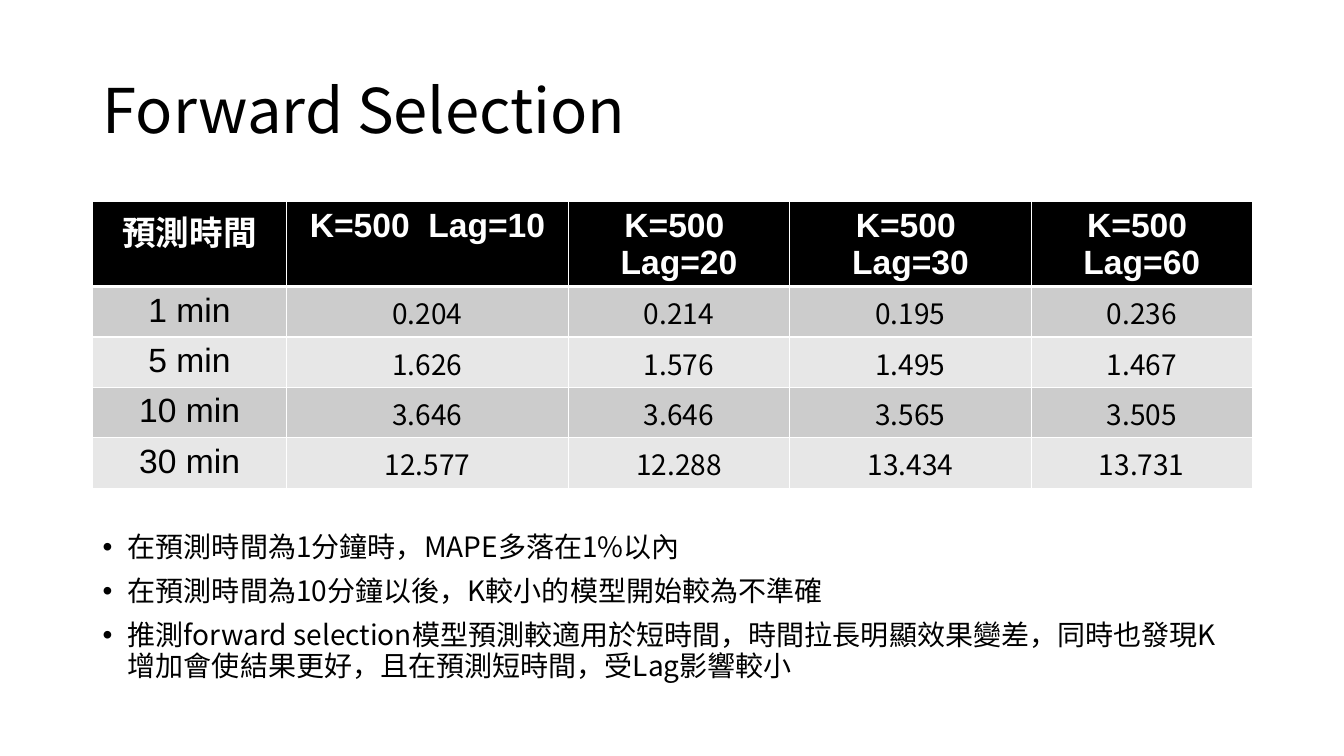
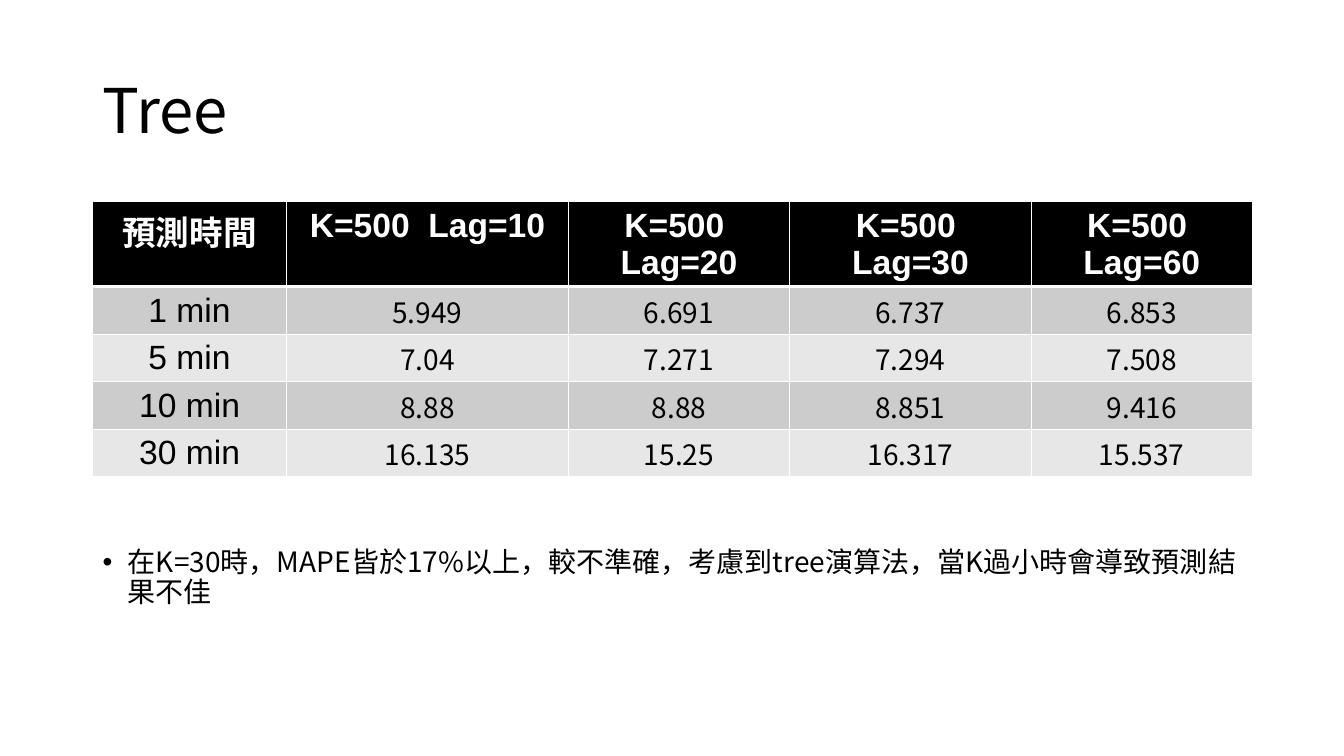
from dataclasses import dataclass

from pptx import Presentation
from pptx.dml.color import RGBColor
from pptx.enum.text import MSO_ANCHOR, MSO_AUTO_SIZE, PP_ALIGN
from pptx.oxml.ns import qn
from pptx.util import Pt
from lxml import etree

EMU_PER_PX = 9144
CENTER = PP_ALIGN.CENTER
TOP, MIDDLE = MSO_ANCHOR.TOP, MSO_ANCHOR.MIDDLE
SHRINK = MSO_AUTO_SIZE.TEXT_TO_FIT_SHAPE


@dataclass(frozen=True)
class Theme:
    ink: str = "000000"
    paper: str = "FFFFFF"
    bands: tuple = ("CCCCCC", "E7E7E7")
    text_font: str = "Noto Sans CJK SC"
    label_font: str = "Arial"
    title_size: int = 44
    label_size: int = 24
    body_size: int = 20
    line_spacing: float = 0.9
    bullet_gap: int = 10
    thin_border: int = 1
    thick_border: int = 3


LEFT, WIDTH = 92, 1150
COLUMNS = (192, 280, 219, 240, 219)
HEADER_HEIGHT = 83
HEADERS = ("預測時間", *(f"K=500  Lag={lag}" for lag in (10, 20, 30, 60)))
TIMES = ("1 min", "5 min", "10 min", "30 min")

SLIDES = (
    {
        "title": "Forward Selection",
        "row_height": 50,
        "values": (
            ("0.204", "0.214", "0.195", "0.236"),
            ("1.626", "1.576", "1.495", "1.467"),
            ("3.646", "3.646", "3.565", "3.505"),
            ("12.577", "12.288", "13.434", "13.731"),
        ),
        "bullets_top": 524,
        "bullets": (
            "在預測時間為1分鐘時，MAPE多落在1%以內",
            "在預測時間為10分鐘以後，K較小的模型開始較為不準確",
            "推測forward selection模型預測較適用於短時間，時間拉長明顯效果變差，"
            "同時也發現K增加會使結果更好，且在預測短時間，受Lag影響較小",
        ),
    },
    {
        "title": "Tree",
        "row_height": 47,
        "values": (
            ("5.949", "6.691", "6.737", "6.853"),
            ("7.04", "7.271", "7.294", "7.508"),
            ("8.88", "8.88", "8.851", "9.416"),
            ("16.135", "15.25", "16.317", "15.537"),
        ),
        "bullets_top": 539,
        "bullets": (
            "在K=30時，MAPE皆於17%以上，較不準確，考慮到tree演算法，"
            "當K過小時會導致預測結果不佳",
        ),
    },
)


def px(length):
    return length * EMU_PER_PX


class SlideWriter:
    def __init__(self, deck, theme):
        self.deck = deck
        self.theme = theme
        self.page = None

    def new_page(self):
        self.page = self.deck.slides.add_slide(self.deck.slide_layouts[6])
        background = self.page.background.fill
        background.solid()
        background.fore_color.rgb = RGBColor.from_string(self.theme.paper)

    def style(self, para, size, font, color, bold=False):
        for span in para.runs:
            span.font.size = Pt(size)
            span.font.bold = bold
            span.font.name = font
            span.font.color.rgb = RGBColor.from_string(color)
            east_asian = etree.SubElement(span.font._element, qn("a:ea"))
            east_asian.set("typeface", self.theme.text_font)

    def text_box(self, top, height, anchor):
        box = self.page.shapes.add_textbox(px(LEFT), px(top), px(WIDTH), px(height))
        frame = box.text_frame
        frame.word_wrap = True
        frame.auto_size = SHRINK
        frame.vertical_anchor = anchor
        return frame

    def title(self, text):
        frame = self.text_box(40, 145, MIDDLE)
        frame.text = text
        para = frame.paragraphs[0]
        para.line_spacing = self.theme.line_spacing
        self.style(para, self.theme.title_size, self.theme.text_font, self.theme.ink)

    def bullets(self, top, lines):
        frame = self.text_box(top, 750 - top, TOP)
        frame.text = "\n".join(lines)
        for index, para in enumerate(frame.paragraphs):
            properties = para._p.get_or_add_pPr()
            properties.set("marL", str(px(25)))
            properties.set("indent", str(px(-25)))
            etree.SubElement(properties, qn("a:buFont")).set("typeface", self.theme.label_font)
            etree.SubElement(properties, qn("a:buChar")).set("char", "•")
            para.line_spacing = self.theme.line_spacing
            if index:
                para.space_before = Pt(self.theme.bullet_gap)
            self.style(para, self.theme.body_size, self.theme.text_font, self.theme.ink)

    def borders(self, cell, row):
        properties = cell._tc.get_or_add_tcPr()
        thick_side = {0: "B", 1: "T"}.get(row)
        for side in "LRTB":
            weight = self.theme.thick_border if side == thick_side else self.theme.thin_border
            line = etree.SubElement(properties, qn(f"a:ln{side}"), w=str(Pt(weight)))
            fill = etree.SubElement(line, qn("a:solidFill"))
            etree.SubElement(fill, qn("a:srgbClr"), val=self.theme.paper)

    def cell(self, cell, text, row, column):
        theme = self.theme
        is_header = row == 0
        is_value = row > 0 and column > 0
        self.borders(cell, row)
        cell.fill.solid()
        color = theme.ink if is_header else theme.bands[(row - 1) % 2]
        cell.fill.fore_color.rgb = RGBColor.from_string(color)
        if is_value:
            cell.vertical_anchor = MIDDLE
            cell.margin_left = cell.margin_right = cell.margin_top = px(1)
            cell.margin_bottom = 0
        cell.text = text
        para = cell.text_frame.paragraphs[0]
        para.alignment = CENTER
        self.style(
            para,
            theme.body_size if is_value else theme.label_size,
            theme.text_font if is_value else theme.label_font,
            theme.paper if is_header else theme.ink,
            is_header,
        )

    def table(self, row_height, values):
        rows = [HEADERS, *((time, *results) for time, results in zip(TIMES, values))]
        heights = [HEADER_HEIGHT] + [row_height] * len(values)
        table = self.page.shapes.add_table(
            len(rows), len(COLUMNS), px(LEFT), px(200), px(WIDTH), px(sum(heights))
        ).table
        table.horz_banding = False
        for column, width in zip(table.columns, COLUMNS):
            column.width = px(width)
        for row, (texts, height) in enumerate(zip(rows, heights)):
            table.rows[row].height = px(height)
            for column, text in enumerate(texts):
                self.cell(table.cell(row, column), text, row, column)


def main():
    deck = Presentation()
    deck.slide_width, deck.slide_height = px(1333), px(750)
    writer = SlideWriter(deck, Theme())
    for content in SLIDES:
        writer.new_page()
        writer.title(content["title"])
        writer.table(content["row_height"], content["values"])
        writer.bullets(content["bullets_top"], content["bullets"])
    deck.save("out.pptx")


if __name__ == "__main__":
    main()
